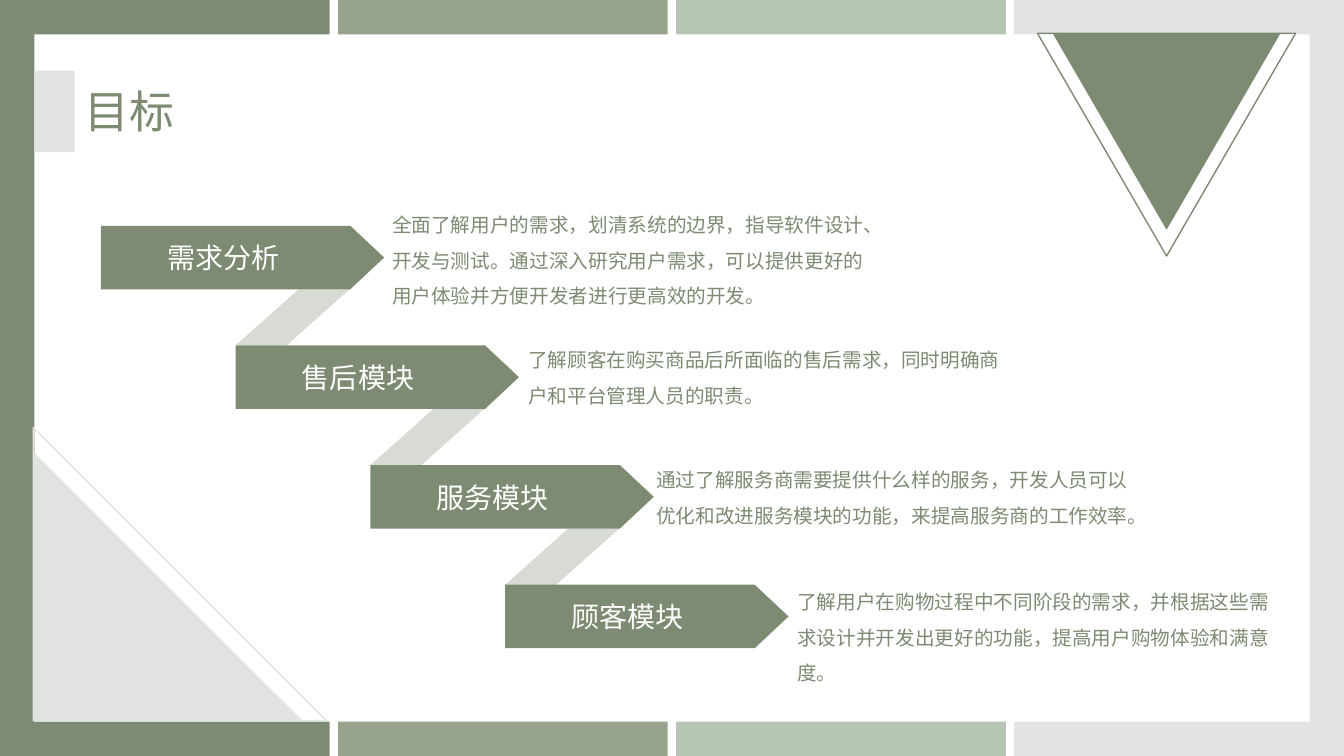
from lxml import etree
from pptx import Presentation
from pptx.dml.color import RGBColor
from pptx.enum.shapes import MSO_SHAPE
from pptx.enum.text import PP_ALIGN
from pptx.oxml.ns import qn
from pptx.util import Inches, Pt

RECT = MSO_SHAPE.RECTANGLE
TRIANGLE = MSO_SHAPE.ISOSCELES_TRIANGLE
CORNER = MSO_SHAPE.RIGHT_TRIANGLE
ARROW = MSO_SHAPE.PENTAGON
RIBBON = MSO_SHAPE.PARALLELOGRAM
LEFT, CENTER = PP_ALIGN.LEFT, PP_ALIGN.CENTER

FONT = "Noto Sans CJK SC"
GREEN, SAGE, MINT, GRAY, WHITE = "7C8B71", "98A38B", "B7C5B5", "E1E4E1", "FFFFFF"
W, H = 13.33, 7.5

# Staircase grid: each step moves right and down by the same amount
STEP_X, STEP_Y = 1.337, 1.187
ARROW_X, ARROW_Y, ARROW_W, ARROW_H = 1, 2.24, 2.81, 0.63
RIBBON_W = 1.13

# Label, description, description left and top
STEPS = [
    ("需求分析", "全面了解用户的需求，划清系统的边界，指导软件设计、开发与测试。"
     "通过深入研究用户需求，可以提供更好的用户体验并方便开发者进行更高效的开发。", 3.79, 1.95),
    ("售后模块", "了解顾客在购买商品后所面临的售后需求，"
     "同时明确商户和平台管理人员的职责。", 5.14, 3.29),
    ("服务模块", "通过了解服务商需要提供什么样的服务，"
     "开发人员可以优化和改进服务模块的功能，来提高服务商的工作效率。", 6.41, 4.48),
    ("顾客模块", "了解用户在购物过程中不同阶段的需求，"
     "并根据这些需求设计并开发出更好的功能，提高用户购物体验和满意度。", 7.81, 5.69),
]


def color(hex_code):
    return RGBColor.from_string(hex_code)


def add_figure(s, kind, box, fill=None, line=None, adj=None, alpha=None, rotation=0):
    sp = s.shapes.add_shape(kind, *map(Inches, box))
    sp.shadow.inherit = False
    sp.rotation = rotation
    if adj is not None:
        sp.adjustments[0] = adj
    if fill:
        sp.fill.solid()
        sp.fill.fore_color.rgb = color(fill)
    else:
        sp.fill.background()
    if line:
        sp.line.color.rgb = color(line)
        sp.line.width = Pt(1)
    else:
        sp.line.fill.background()
    if alpha is not None:
        rgb = sp._element.spPr.find(qn("a:solidFill"))[0]
        etree.SubElement(rgb, qn("a:alpha"), val=str(alpha * 1000))


def add_text(s, box, text, size, hex_code=GREEN, align=LEFT, spacing=1.0):
    tf = s.shapes.add_textbox(*map(Inches, box)).text_frame
    tf.word_wrap = True
    p = tf.paragraphs[0]
    for name, value in {"alignment": align, "line_spacing": spacing}.items():
        setattr(p, name, value)
    r = p.add_run()
    r.text = text
    for name, value in {"name": FONT, "size": Pt(size)}.items():
        setattr(r.font, name, value)
    r.font.color.rgb = color(hex_code)
    etree.SubElement(r._r.get_or_add_rPr(), qn("a:ea"), typeface=FONT)


def add_frame(s):
    band, gap = 3.27, 0.083
    for i, fill in enumerate((GREEN, SAGE, MINT, GRAY)):
        add_figure(s, RECT, (i * (band + gap), 0, band, H), fill)
    add_figure(s, RECT, (0.34, 0.34, W - 0.68, H - 0.68), WHITE)


def add_step(s, i, label, description, left, top):
    x, y = ARROW_X + i * STEP_X, ARROW_Y + i * STEP_Y
    add_figure(s, ARROW, (x, y, ARROW_W, ARROW_H), GREEN, adj=0.533)
    add_text(s, (x, y + 0.1, 2.43, 0.44), label, 20, WHITE, CENTER)
    add_text(s, (left, top, 4.92, 0.77), description, 14, spacing=1.5)
    # Ribbon from the previous arrow
    if i:
        height = STEP_Y - ARROW_H
        add_figure(s, RIBBON, (x, y - height, RIBBON_W, height), GREEN, adj=1.12, alpha=30)


def main():
    prs = Presentation()
    prs.slide_width, prs.slide_height = Inches(W), Inches(H)
    s = prs.slides.add_slide(prs.slide_layouts[6])
    add_frame(s)

    # Title
    add_figure(s, RECT, (0.34, 0.7, 0.4, 0.81), GRAY)
    add_text(s, (0.74, 0.78, 4.59, 0.64), "目标", 32)

    # Corner triangles
    add_figure(s, CORNER, (0.33, 4.48, 2.67, 2.67), GRAY)
    add_figure(s, CORNER, (0.33, 4.24, 2.91, 2.91), line=GRAY)
    add_figure(s, TRIANGLE, (10.44, 0.33, 2.26, 1.95), GREEN, rotation=180)
    add_figure(s, TRIANGLE, (10.29, 0.33, 2.56, 2.21), line=GREEN, rotation=180)

    # Staircase
    for i, step in enumerate(STEPS):
        add_step(s, i, *step)

    prs.save("out.pptx")


if __name__ == "__main__":
    main()
